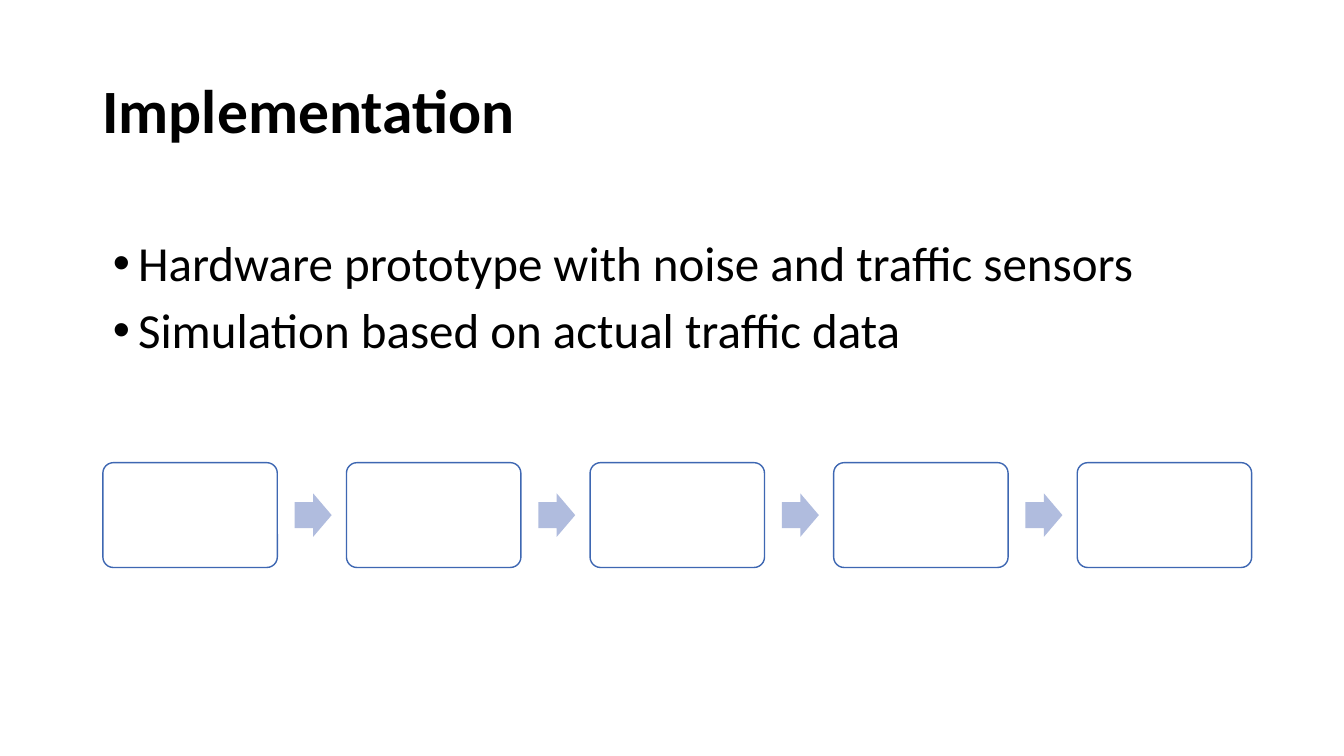
from lxml import etree
from pptx import Presentation
from pptx.dml.color import RGBColor
from pptx.enum.shapes import MSO_SHAPE
from pptx.enum.text import MSO_ANCHOR, PP_ALIGN
from pptx.oxml.ns import qn
from pptx.util import Pt

BOX, ARROW = MSO_SHAPE.ROUNDED_RECTANGLE, MSO_SHAPE.RIGHT_ARROW
MIDDLE, TOP, LEFT = MSO_ANCHOR.MIDDLE, MSO_ANCHOR.TOP, PP_ALIGN.LEFT
TITLE_ONLY = 5

COLORS = {"text": "000000", "box": "FFFFFF", "outline": "3E67B2", "arrow": "B0BCDE"}
FONT = "Calibri"


def rgb(name):
    return RGBColor.from_string(COLORS[name])


class SlideBuilder:
    def __init__(self, prs):
        self.s = prs.slides.add_slide(prs.slide_layouts[TITLE_ONLY])

    def place(self, sp, x, y, w, h):
        sp.left, sp.top, sp.width, sp.height = Pt(x), Pt(y), Pt(w), Pt(h)

    def add_text(self, p, text, para, font):
        r = p.add_run()
        r.text = text
        for name, value in para.items():
            setattr(p, name, value)
        for name, value in {"name": FONT, **font}.items():
            setattr(r.font, name, value)
        r.font.color.rgb = rgb("text")

    def title(self, text, x, y, w, h, size):
        sp = self.s.shapes.title
        self.place(sp, x, y, w, h)
        tf = sp.text_frame
        tf.word_wrap, tf.vertical_anchor = True, MIDDLE
        self.add_text(tf.paragraphs[0], text, {"alignment": LEFT, "line_spacing": 0.9},
                      {"size": Pt(size), "bold": True})

    def bullets(self, items, x, y, w, h, size, indent):
        sp = self.s.shapes.add_textbox(Pt(x), Pt(y), Pt(w), Pt(h))
        tf = sp.text_frame
        tf.word_wrap, tf.vertical_anchor = True, TOP
        for i, item in enumerate(items):
            p = tf.add_paragraph() if i else tf.paragraphs[0]
            self.add_text(p, item, {"line_spacing": 0.9, "space_before": Pt(10)},
                          {"size": Pt(size)})
            pPr = p._p.get_or_add_pPr()
            pPr.set("marL", str(Pt(indent)))
            pPr.set("indent", str(-Pt(indent)))
            etree.SubElement(pPr, qn("a:buFont")).set("typeface", "Arial")
            etree.SubElement(pPr, qn("a:buChar")).set("char", "•")

    def shape(self, kind, x, y, w, h, fill, adjustments, line=None):
        sp = self.s.shapes.add_shape(kind, Pt(x), Pt(y), Pt(w), Pt(h))
        sp.shadow.inherit = False
        sp.fill.solid()
        sp.fill.fore_color.rgb = rgb(fill)
        for i, value in enumerate(adjustments):
            sp.adjustments[i] = value
        if line:
            sp.line.color.rgb = rgb(line)
            sp.line.width = Pt(1)
        else:
            sp.line.fill.background()


def main():
    prs = Presentation()
    prs.slide_width, prs.slide_height = Pt(960), Pt(540)
    slide = SlideBuilder(prs)

    # Title and key points
    slide.title("Implementation", 66, 28.8, 828, 104.4, size=44)
    slide.bullets(["Hardware prototype with noise and traffic sensors",
                   "Simulation based on actual traffic data"],
                  73.5, 167, 757.5, 113.8, size=35, indent=18)

    # Process row: boxes with an arrow in each gap
    steps, left, top, pitch = 5, 73.5, 330.5, 174
    box_w, box_h = 124.6, 74.9
    arrow_w, arrow_h, arrow_gap = 26.4, 31, 12.4
    for i in range(steps):
        x = left + i * pitch
        slide.shape(BOX, x, top, box_w, box_h, "box", [0.1], line="outline")
        if i < steps - 1:
            slide.shape(ARROW, x + box_w + arrow_gap, top + (box_h - arrow_h) / 2,
                        arrow_w, arrow_h, "arrow", [0.6, 0.5])

    prs.save("out.pptx")


if __name__ == "__main__":
    main()
